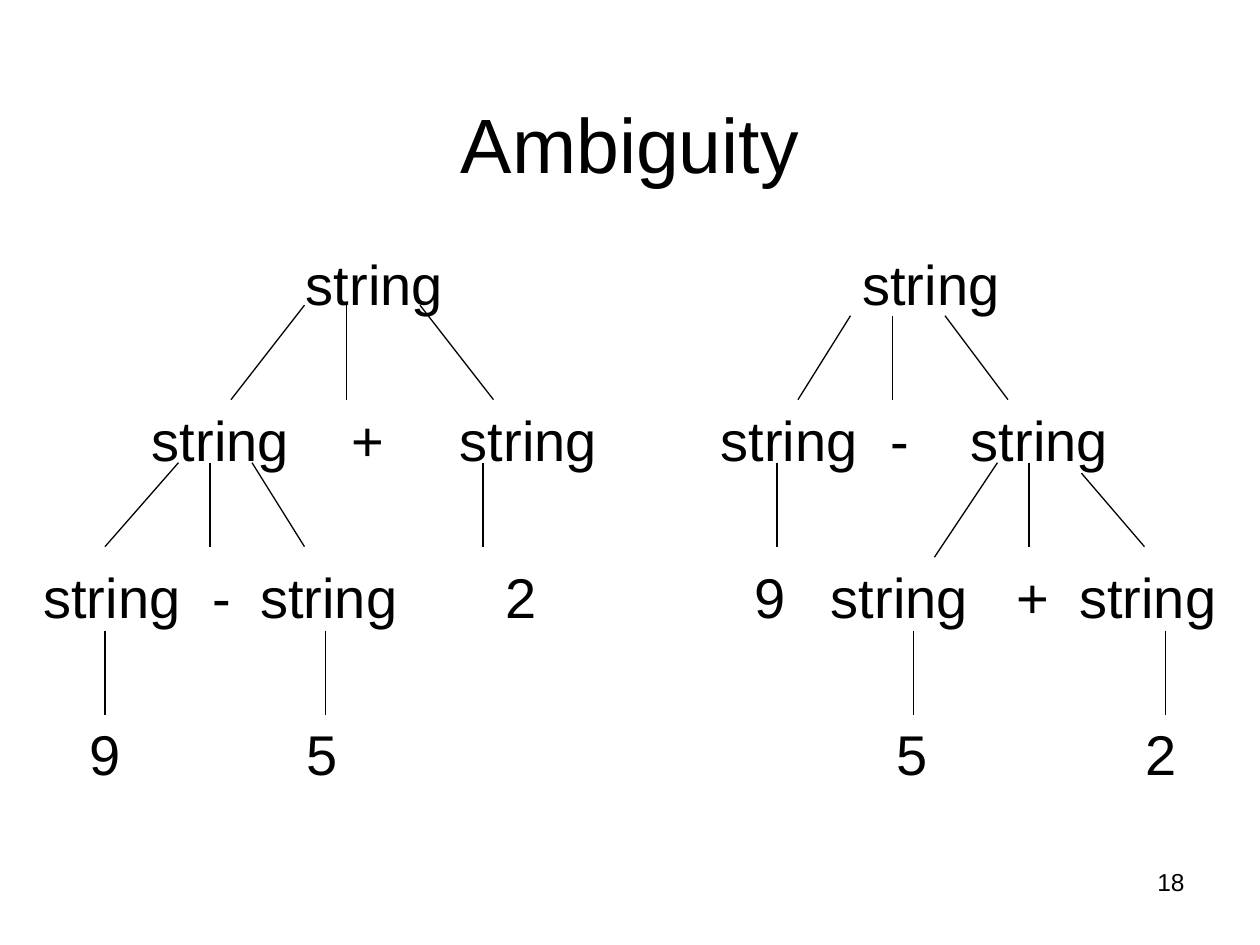
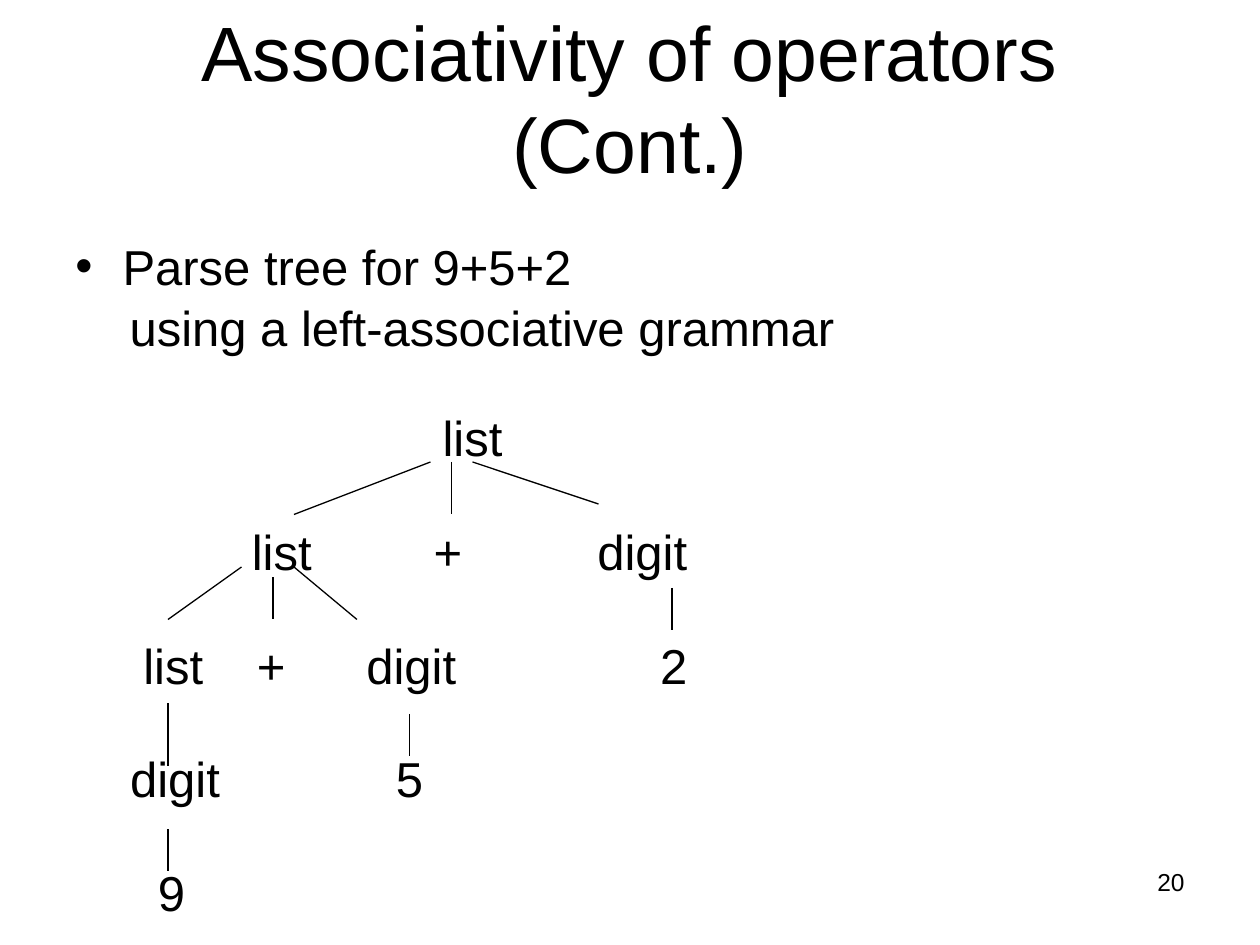
from dataclasses import dataclass

from lxml import etree
from pptx import Presentation
from pptx.dml.color import RGBColor
from pptx.enum.shapes import MSO_CONNECTOR
from pptx.enum.text import MSO_ANCHOR, PP_ALIGN
from pptx.oxml.ns import qn
from pptx.util import Pt

STRAIGHT = MSO_CONNECTOR.STRAIGHT
TOP, BOTTOM = MSO_ANCHOR.TOP, MSO_ANCHOR.BOTTOM
LEFT, CENTER, RIGHT = PP_ALIGN.LEFT, PP_ALIGN.CENTER, PP_ALIGN.RIGHT

FONT = "Arial"
INK = "000000"
PAPER = "FFFFFF"

# Boxes are left, top, width, height in points.
SLIDE_SIZE = (720, 540)
TITLE_BOX = (36, 21.6, 648, 90)
NUMBER_BOX = (516, 492, 168, 37)
BULLET_BOX = (36, 131.7, 648, 75)


@dataclass
class Tree:
    """Rows hold (text, centre x); branches hold x1, y1, x2, y2, all inside the tree."""
    origin: tuple
    size: float
    pitch: float
    rows: list
    branches: list


SUM_OF_DIFFERENCE = Tree(
    origin=(18, 142.4), size=32, pitch=89.5,
    rows=[
        [("string", 196)],
        [("string", 108), ("+", 192), ("string", 284)],
        [("string", 46), ("-", 109), ("string", 170), ("2", 280)],
        [("9", 42), ("5", 166)],
    ],
    branches=[
        (156, 32, 114, 86), (180, 32, 180, 86), (222, 32, 264, 86),
        (84, 122, 42, 170), (102, 122, 102, 170), (126, 122, 156, 170),
        (258, 122, 258, 170), (42, 218, 42, 266), (168, 218, 168, 266),
    ])

DIFFERENCE_OF_SUM = Tree(
    origin=(408, 142.4), size=32, pitch=89.5,
    rows=[
        [("string", 124)],
        [("string", 43), ("-", 106), ("string", 186)],
        [("9", 32), ("string", 106), ("+", 182), ("string", 248)],
        [("5", 113), ("2", 255.5)],
    ],
    branches=[
        (78, 38, 48, 86), (102, 38, 102, 86), (132, 38, 168, 86),
        (36, 122, 36, 170), (162, 122, 126, 176), (180, 122, 180, 170),
        (210, 128, 246, 170), (114, 218, 114, 266), (258, 218, 258, 266),
    ])

LEFT_ASSOCIATIVE = Tree(
    origin=(36, 233), size=28, pitch=65,
    rows=[
        [("list", 234)],
        [("list", 125), ("+", 220), ("digit", 331)],
        [("list", 63), ("+", 119), ("digit", 199), ("2", 349)],
        [("digit", 64), ("5", 198)],
        [("9", 62)],
    ],
    branches=[
        (210, 31, 132, 61), (222, 31, 222, 61), (234, 31, 306, 55),
        (102, 91, 60, 121), (120, 97, 120, 121), (132, 91, 168, 121),
        (348, 103, 348, 127), (60, 169, 60, 205), (198, 175, 198, 199),
        (60, 241, 60, 265),
    ])


def color(hex_string):
    return RGBColor.from_string(hex_string)


def style_paragraph(paragraph, text, size, alignment):
    paragraph.text = text
    paragraph.alignment = alignment
    paragraph.font.name = FONT
    paragraph.font.size = Pt(size)
    paragraph.font.color.rgb = color(INK)


def add_text(slide, box, text, size, alignment=LEFT, anchor=TOP):
    shape = slide.shapes.add_textbox(*map(Pt, box))
    frame = shape.text_frame
    frame.word_wrap = True
    frame.vertical_anchor = anchor
    style_paragraph(frame.paragraphs[0], text, size, alignment)
    return frame


def add_label(slide, center, top, text, size):
    width = size * (0.45 * len(text) + 0.2)
    box = (center - width / 2, top, width, size * 1.15)
    frame = add_text(slide, box, text, size, CENTER)
    frame.word_wrap = False
    frame.margin_left = frame.margin_right = 0
    frame.margin_top = frame.margin_bottom = 0


def add_branch(slide, start_x, start_y, end_x, end_y):
    branch = slide.shapes.add_connector(
        STRAIGHT, Pt(start_x), Pt(start_y), Pt(end_x), Pt(end_y))
    branch.line.color.rgb = color(INK)
    branch.line.width = Pt(0.75)
    etree.SubElement(branch._element.spPr, qn("a:effectLst"))


def add_tree(slide, tree):
    left, top = tree.origin
    for level, row in enumerate(tree.rows):
        for text, center in row:
            add_label(slide, left + center, top + level * tree.pitch, text, tree.size)
    for x1, y1, x2, y2 in tree.branches:
        add_branch(slide, left + x1, top + y1, left + x2, top + y2)


def indent(paragraph, margin, first_line):
    properties = paragraph._p.get_or_add_pPr()
    properties.set("marL", str(Pt(margin)))
    properties.set("indent", str(Pt(first_line)))
    return properties


def add_bullet(slide, box, first_line, second_line, size):
    frame = add_text(slide, box, first_line, size)
    properties = indent(frame.paragraphs[0], 27, -27)
    etree.SubElement(properties, qn("a:buFont")).set("typeface", FONT)
    etree.SubElement(properties, qn("a:buChar")).set("char", "•")
    continuation = frame.add_paragraph()
    style_paragraph(continuation, second_line, size, LEFT)
    continuation.space_before = Pt(1)
    indent(continuation, 31, 0)


def add_titled_slide(presentation, title, number):
    slide = presentation.slides.add_slide(presentation.slide_layouts[6])
    slide.background.fill.solid()
    slide.background.fill.fore_color.rgb = color(PAPER)
    add_text(slide, NUMBER_BOX, number, 14, RIGHT)
    add_text(slide, TITLE_BOX, title, 44, CENTER, BOTTOM)
    return slide


def main():
    presentation = Presentation()
    presentation.slide_width, presentation.slide_height = map(Pt, SLIDE_SIZE)

    ambiguity = add_titled_slide(presentation, "Ambiguity", "18")
    add_tree(ambiguity, SUM_OF_DIFFERENCE)
    add_tree(ambiguity, DIFFERENCE_OF_SUM)

    associativity = add_titled_slide(
        presentation, "Associativity of operators (Cont.)", "20")
    add_bullet(associativity, BULLET_BOX, "Parse tree for 9+5+2",
               "using a left-associative grammar", 28)
    add_tree(associativity, LEFT_ASSOCIATIVE)

    presentation.save("out.pptx")


if __name__ == "__main__":
    main()
